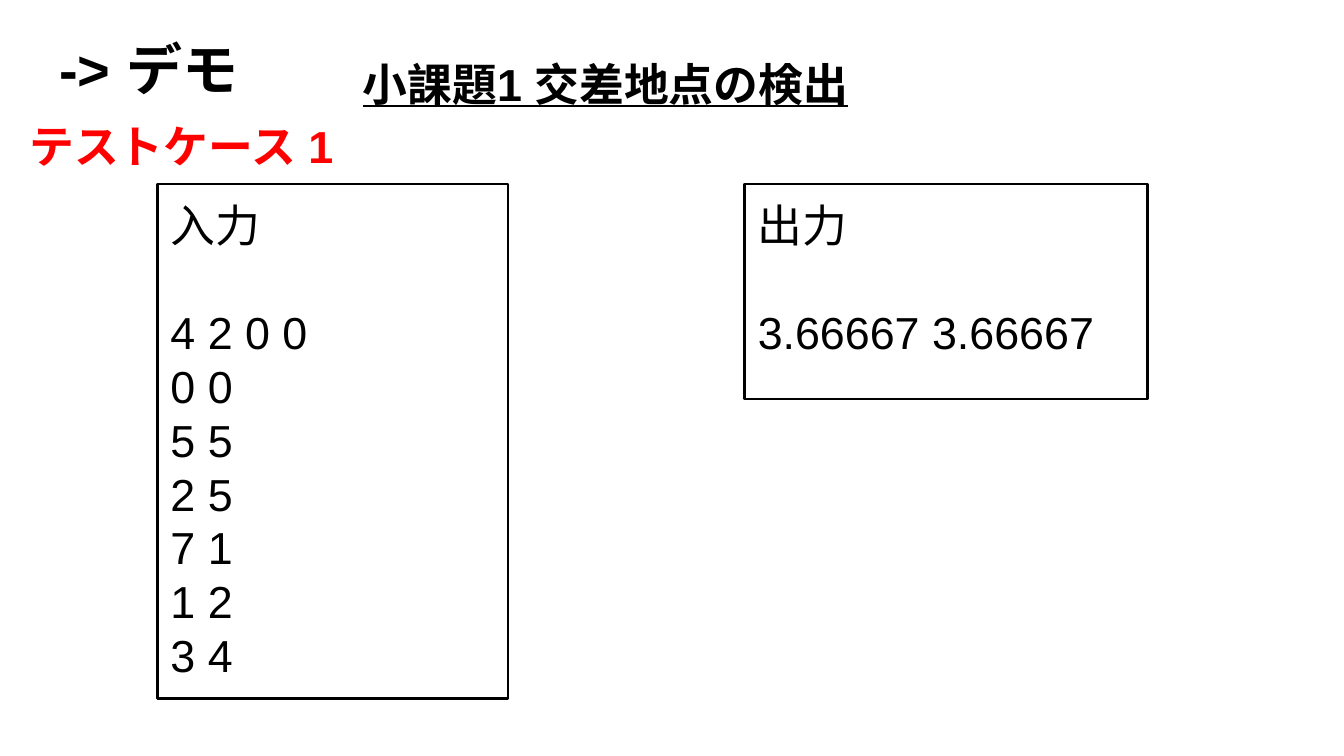
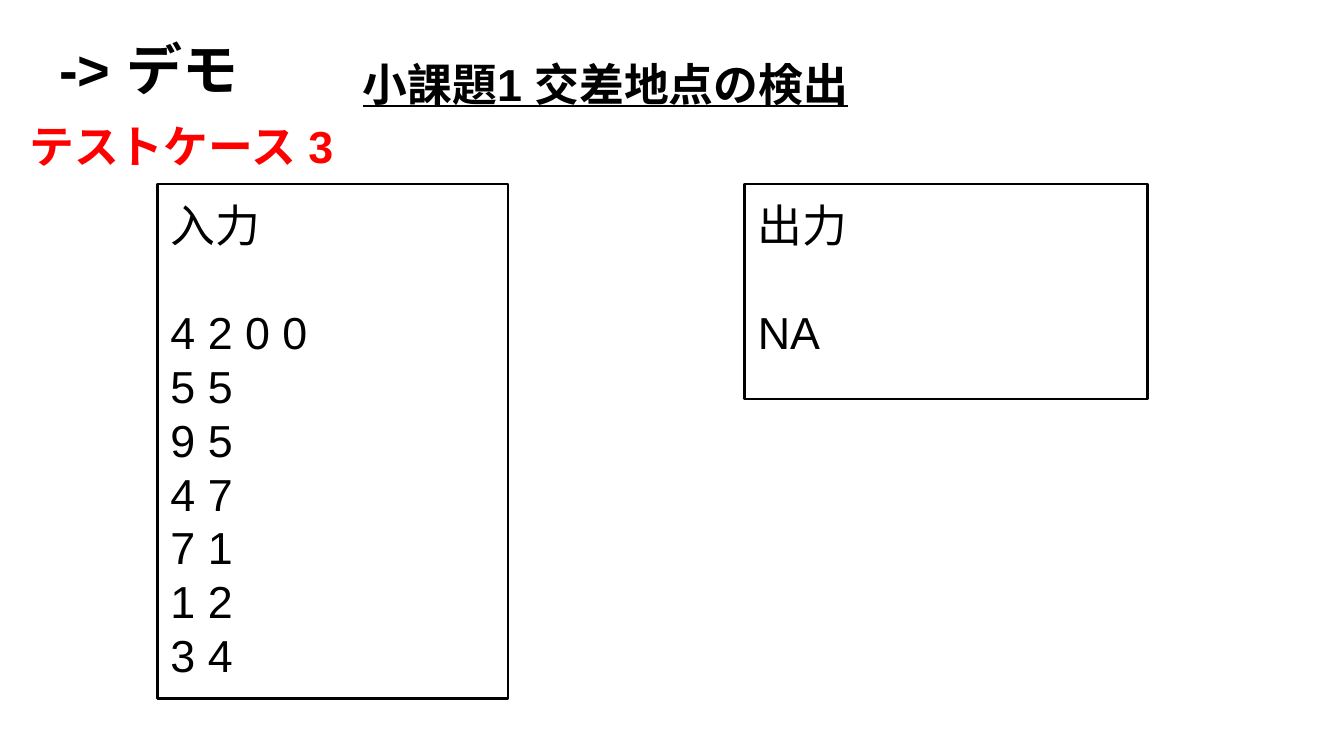
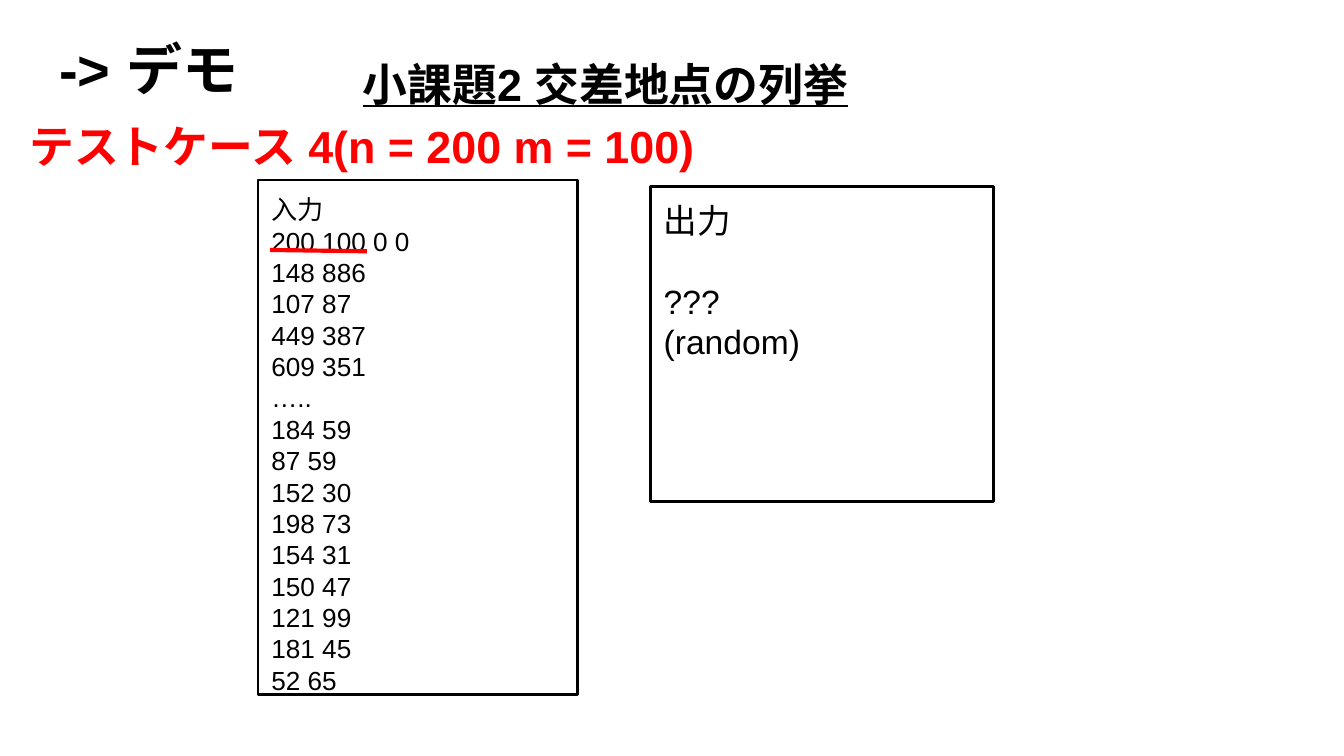
from lxml import etree
from pptx import Presentation
from pptx.dml.color import RGBColor
from pptx.enum.shapes import MSO_CONNECTOR as CONN, MSO_SHAPE as SHAPE
from pptx.enum.text import MSO_ANCHOR as ANCHOR, MSO_AUTO_SIZE as AUTO, PP_ALIGN as ALIGN
from pptx.oxml.ns import qn
from pptx.util import Inches, Pt

BLACK, RED, FONT = "000000", "FF0000", "Arial"
FRAME = dict(word_wrap=True, auto_size=AUTO.NONE, vertical_anchor=ANCHOR.TOP,
             margin_left=Inches(0.1), margin_right=Inches(0.1),
             margin_top=Inches(0.1), margin_bottom=Inches(0.1))
TITLE = dict(size=Pt(30), bold=True)
HEADING = dict(size=Pt(24), bold=True, underline=True)
CASE = dict(size=Pt(24), bold=True)


def color(code):
    return RGBColor.from_string(code)


def write(sp, lines, fmt, code=BLACK):
    tf = sp.text_frame
    for name, value in FRAME.items():
        setattr(tf, name, value)
    for i, line in enumerate(lines):
        p = tf.add_paragraph() if i else tf.paragraphs[0]
        p.alignment = ALIGN.LEFT
        r = p.add_run()
        r.text = line
        for name, value in fmt.items():
            setattr(r.font, name, value)
        r.font.color.rgb = color(code)
        r.font.name = FONT
        etree.SubElement(r._r.get_or_add_rPr(), qn("a:ea"), typeface=FONT)
    return tf


slides = [
    dict(heading="小課題1 交差地点の検出", case="テストケース 1", case_width=2.55, boxes=[
        ((5.54, 1.37, 3, 1.6), 24, True, ["出力", "3.66667 3.66667"]),
        ((1.17, 1.37, 2.61, 3.83), 24, True,
         ["入力", "4 2 0 0", "0 0", "5 5", "2 5", "7 1", "1 2", "3 4"])]),
    dict(heading="小課題1 交差地点の検出", case="テストケース 3", case_width=2.55, boxes=[
        ((5.54, 1.37, 3, 1.6), 24, True, ["出力", "NA"]),
        ((1.17, 1.37, 2.61, 3.83), 24, True,
         ["入力", "4 2 0 0", "5 5", "9 5", "4 7", "7 1", "1 2", "3 4"])]),
    dict(heading="小課題2 交差地点の列挙", case="テストケース 4(n = 200 m = 100)", case_width=5.2, boxes=[
        ((4.84, 1.39, 2.55, 2.34), 18, True, ["出力", "???", "(random)"]),
        ((1.92, 1.34, 2.38, 3.83), 14, False,
         ["入力", "200 100 0 0", "148 886", "107 87", "449 387", "609 351", "…..",
          "184 59", "87 59", "152 30", "198 73", "154 31", "150 47", "121 99",
          "181 45", "52 65"])]),
]

prs = Presentation()
prs.slide_width = Inches(10)
prs.slide_height = prs.slide_width * 9 // 16

for data in slides:
    s = prs.slides.add_slide(prs.slide_layouts[5])
    title = s.shapes.title
    title.left, title.top, title.width, title.height = map(Inches, (0.34, 0.16, 9.32, 0.63))
    write(title, ["-> デモ"], TITLE)

    heading = s.shapes.add_textbox(*map(Inches, (2.07, 0.26, 7.93, 0.51)))
    tf = write(heading, [data["heading"]], HEADING)
    tf.margin_left = Inches(0.63)
    tf.paragraphs[0].line_spacing = 1.15
    tf.paragraphs[0].space_after = Pt(16)

    case = s.shapes.add_textbox(*map(Inches, (0.12, 0.78, data["case_width"], 0.69)))
    write(case, [data["case"]], CASE, RED)

    for place, size, gap, lines in data["boxes"]:
        box = s.shapes.add_shape(SHAPE.RECTANGLE, *map(Inches, place))
        box.shadow.inherit = False
        box.fill.background()
        box.line.color.rgb = color(BLACK)
        box.line.width = Pt(1.5)
        tf = write(box, lines, dict(size=Pt(size)))
        if gap:
            tf.paragraphs[0].space_after = Pt(size * 1.2)

underline = s.shapes.add_connector(CONN.STRAIGHT, *map(Inches, (2.01, 1.86, 2.73, 1.87)))
underline.line.color.rgb = color(RED)
underline.line.width = Pt(2.25)
etree.SubElement(underline._element.spPr, qn("a:effectLst"))

prs.save("out.pptx")
